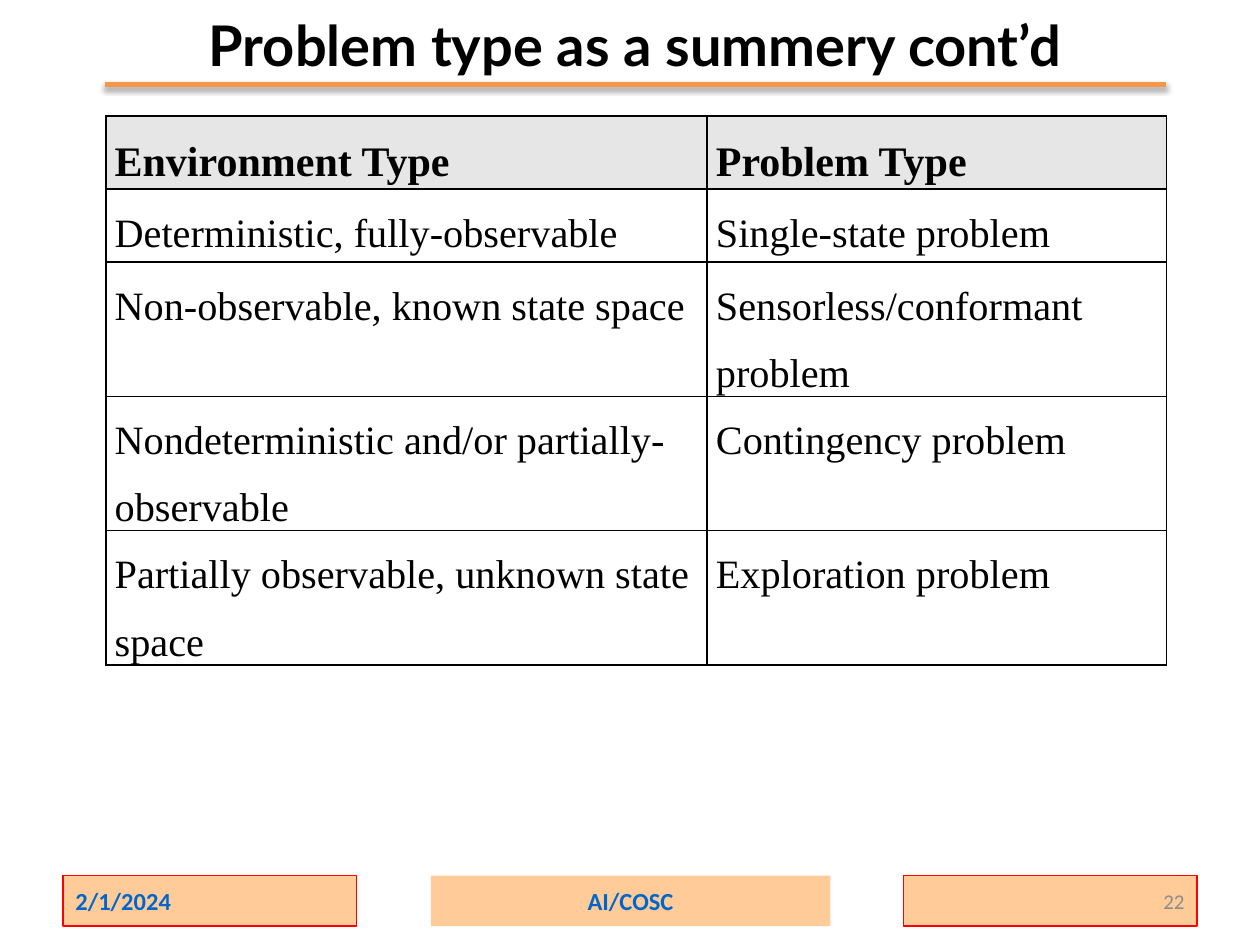
from dataclasses import dataclass
from typing import Optional

from lxml import etree
from pptx import Presentation
from pptx import util as u
from pptx.dml.color import RGBColor
from pptx.enum import shapes, text
from pptx.oxml import parse_xml
from pptx.oxml.ns import nsdecls, qn

SLIDE_WIDTH, SLIDE_HEIGHT = u.Inches(10), u.Inches(7.5)
MARGIN = SLIDE_WIDTH / 12
CONTENT_WIDTH = SLIDE_WIDTH - 1.9 * MARGIN

BLACK = RGBColor(0, 0, 0)
ORANGE = RGBColor(0xF7, 0x96, 0x46)
PEACH = RGBColor(0xFF, 0xCC, 0x99)
RED = RGBColor(0xFF, 0, 0)
BLUE = RGBColor(0, 0x66, 0xCC)
GRAY = RGBColor(0x8C, 0x8C, 0x8C)
HEADER_FILL = RGBColor(0xE6, 0xE6, 0xE6)

COLUMN_SHARES = (0.567, 0.433)
SINGLE_ROW, DOUBLE_ROW = u.Inches(0.58), u.Inches(1.065)
ROW_HEIGHTS = (SINGLE_ROW,) * 2 + (DOUBLE_ROW,) * 3
ROWS = (
    ("Environment Type", "Problem Type"),
    ("Deterministic, fully-observable", "Single-state problem"),
    ("Non-observable, known state space", "Sensorless/conformant problem"),
    ("Nondeterministic and/or partially-observable", "Contingency problem"),
    ("Partially observable, unknown state space", "Exploration problem"),
)


@dataclass(frozen=True)
class TextStyle:
    font: str
    size: float
    color: RGBColor
    bold: bool = False
    alignment: text.PP_ALIGN = text.PP_ALIGN.LEFT


@dataclass(frozen=True)
class FooterBox:
    """A footer field; left and width are shares of the slide width."""
    label: str
    left: float
    width: float
    style: TextStyle
    outline: Optional[RGBColor] = None


TITLE = TextStyle("Lato", 32, BLACK, True, text.PP_ALIGN.CENTER)
HEADER = TextStyle("Times New Roman", 24, BLACK, True)
BODY = TextStyle("Times New Roman", 23, BLACK)
FOOTER_BOXES = (
    FooterBox("2/1/2024", 0.05, 0.233, TextStyle("Calibri", 14, BLUE, True), RED),
    FooterBox("AI/COSC", 0.342, 0.317,
              TextStyle("Calibri", 14, BLUE, True, text.PP_ALIGN.CENTER)),
    FooterBox("22", 0.717, 0.233,
              TextStyle("Calibri", 12, GRAY, False, text.PP_ALIGN.RIGHT), RED),
)


def write_text(frame, content: str, style: TextStyle) -> None:
    frame.word_wrap = True
    paragraph = frame.paragraphs[0]
    paragraph.text = content
    paragraph.alignment = style.alignment
    paragraph.font.name = style.font
    paragraph.font.size = u.Pt(style.size)
    paragraph.font.bold = style.bold
    paragraph.font.color.rgb = style.color


def add_title(slide) -> None:
    box = slide.shapes.add_textbox(int(MARGIN), 0, int(CONTENT_WIDTH), u.Inches(0.7))
    box.text_frame.vertical_anchor = text.MSO_ANCHOR.MIDDLE
    write_text(box.text_frame, "Problem type as a summery cont’d", TITLE)


def add_title_rule(slide) -> None:
    """Draw the orange line under the title, with a soft shadow below it."""
    top = u.Inches(0.67)
    rule = slide.shapes.add_connector(
        shapes.MSO_CONNECTOR.STRAIGHT, int(MARGIN), top, int(MARGIN + CONTENT_WIDTH), top)
    rule.line.color.rgb = ORANGE
    rule.line.width = u.Pt(3)
    rule._element.spPr.append(parse_xml(
        f'<a:effectLst {nsdecls("a")}>'
        f'<a:outerShdw blurRad="{u.Pt(3.1)}" dist="{u.Pt(1.8)}" dir="5400000" rotWithShape="0">'
        f'<a:srgbClr val="{BLACK}"><a:alpha val="35000"/></a:srgbClr>'
        '</a:outerShdw></a:effectLst>'))


def set_borders(cell) -> None:
    properties = cell._tc.get_or_add_tcPr()
    for side in ("a:lnL", "a:lnR", "a:lnT", "a:lnB"):
        line = etree.SubElement(properties, qn(side), w=str(u.Pt(1)))
        fill = etree.SubElement(line, qn("a:solidFill"))
        etree.SubElement(fill, qn("a:srgbClr"), val=str(BLACK))


def format_cell(cell, content: str, is_header: bool) -> None:
    cell.margin_left = cell.margin_right = u.Inches(0.07)
    cell.margin_top = cell.margin_bottom = 0
    set_borders(cell)
    if is_header:
        cell.fill.solid()
        cell.fill.fore_color.rgb = HEADER_FILL
    else:
        cell.fill.background()
    write_text(cell.text_frame, content, HEADER if is_header else BODY)
    cell.text_frame.paragraphs[0].line_spacing = 1.5


def add_problem_table(slide) -> None:
    table = slide.shapes.add_table(
        len(ROWS), len(COLUMN_SHARES), u.Inches(0.84), u.Inches(0.92),
        int(CONTENT_WIDTH), sum(ROW_HEIGHTS)).table
    table.first_row = table.horz_banding = False
    for column, share in zip(table.columns, COLUMN_SHARES):
        column.width = int(CONTENT_WIDTH * share)
    for row_index, (row, height) in enumerate(zip(table.rows, ROW_HEIGHTS)):
        row.height = height
        for cell, content in zip(row.cells, ROWS[row_index]):
            format_cell(cell, content, row_index == 0)


def add_footer_box(slide, footer: FooterBox) -> None:
    shape = slide.shapes.add_shape(
        shapes.MSO_SHAPE.RECTANGLE, int(SLIDE_WIDTH * footer.left), u.Inches(6.95),
        int(SLIDE_WIDTH * footer.width), u.Inches(0.4))
    shape.shadow.inherit = False
    shape.fill.solid()
    shape.fill.fore_color.rgb = PEACH
    if footer.outline is None:
        shape.line.fill.background()
    else:
        shape.line.color.rgb = footer.outline
        shape.line.width = u.Pt(0.75)
    shape.text_frame.vertical_anchor = text.MSO_ANCHOR.MIDDLE
    write_text(shape.text_frame, footer.label, footer.style)


def main() -> None:
    presentation = Presentation()
    presentation.slide_width, presentation.slide_height = SLIDE_WIDTH, SLIDE_HEIGHT
    slide = presentation.slides.add_slide(presentation.slide_layouts[6])
    add_title_rule(slide)
    add_problem_table(slide)
    add_title(slide)
    for footer in FOOTER_BOXES:
        add_footer_box(slide, footer)
    presentation.save("out.pptx")


if __name__ == "__main__":
    main()
